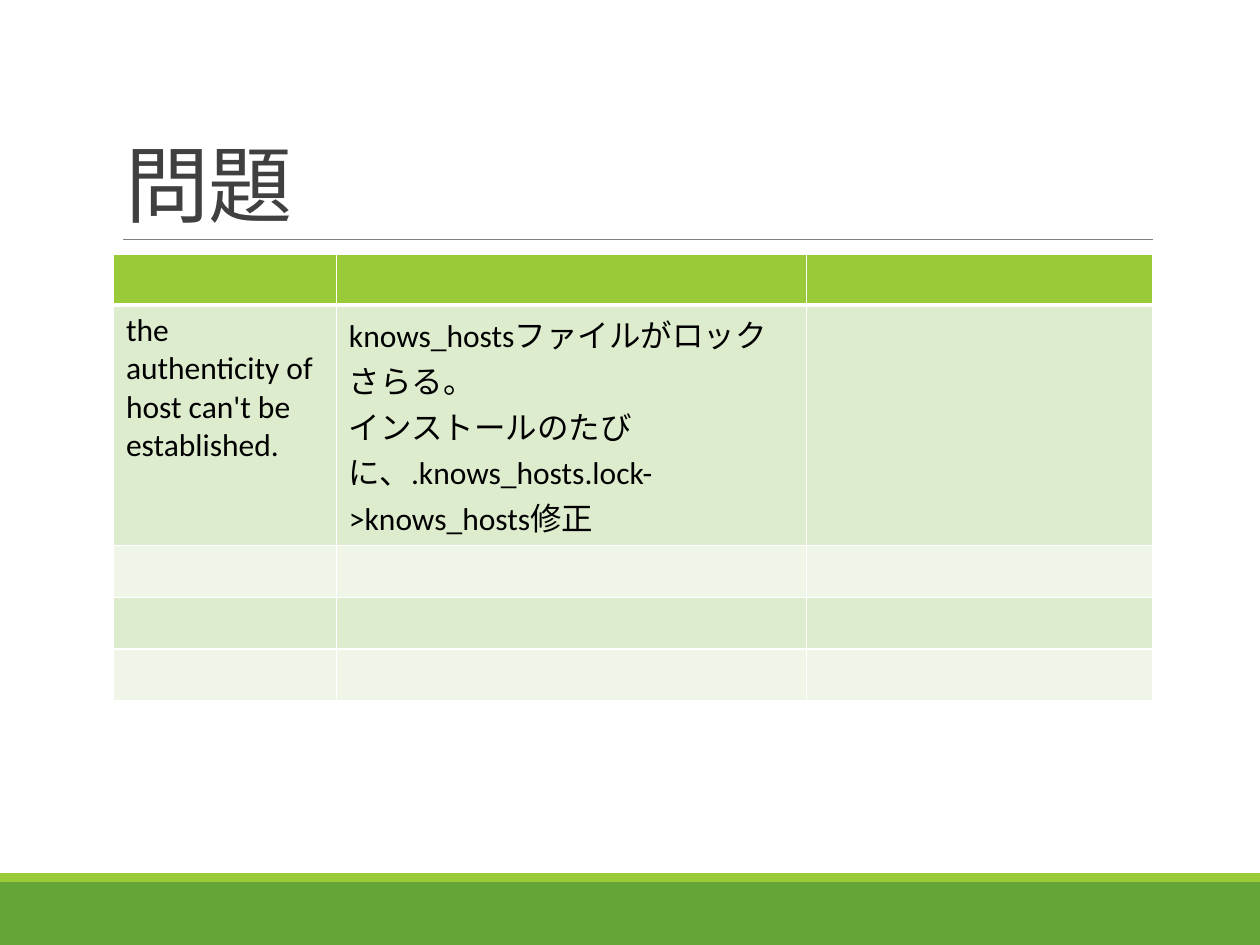
"""Build a slide with a title, a rule, a table of problems and a footer band."""
from lxml.etree import SubElement as Sub
from pptx import Presentation
from pptx.dml.color import RGBColor as RGB
from pptx.enum.shapes import MSO_CONNECTOR as Conn, MSO_SHAPE as Form
from pptx.enum.text import MSO_ANCHOR as Anchor
from pptx.oxml.ns import qn
from pptx.util import Inches, Pt

WIDE, HIGH = Inches(10), Inches(7.5)
GREEN = RGB(0x63, 0xA5, 0x37)
LIME = RGB(0x99, 0xCB, 0x38)
PALE = RGB(0xDE, 0xEC, 0xCE)
MIST = RGB(0xEF, 0xF6, 0xE8)
WHITE = RGB(0xFF, 0xFF, 0xFF)
GRAY = RGB(0x80, 0x80, 0x80)
DARK = RGB(0x40, 0x40, 0x40)
BLACK = RGB(0, 0, 0)
FONT = "Calibri"

LEFT, SPAN = Inches(0.9), Inches(8.25)
RULE = Inches(1.9)
COLS = (1.77, 3.73, 2.75)
ROWS = (0.4, 1.91, 0.41, 0.41, 0.41)
TEXTS = {
    (1, 0): ["the authenticity of host can't be established."],
    (1, 1): ["knows_hostsファイルがロックさらる。",
             "インストールのたびに、.knows_hosts.lock->knows_hosts修正"],
}


def add_run(para, text, size, color):
    """Add one styled run to a paragraph and return it."""
    run = para.add_run()
    run.text = text
    run.font.name, run.font.size = FONT, Pt(size)
    run.font.color.rgb = color
    return run


def add_band(slide, top, high, color):
    """Add a full-width band."""
    band = slide.shapes.add_shape(Form.RECTANGLE, 0, top, WIDE, high)
    band.shadow.inherit = False
    band.fill.solid()
    band.fill.fore_color.rgb = color
    band.line.fill.background()


def add_rule(slide):
    """Add the thin line under the title."""
    rule = slide.shapes.add_connector(
        Conn.STRAIGHT, Inches(0.98), RULE, LEFT + SPAN, RULE)
    rule.line.color.rgb, rule.line.width = GRAY, Pt(0.5)
    Sub(rule._element.spPr, qn("a:effectLst"))


def add_title(slide, text):
    """Add the title, resting on the rule."""
    top = Inches(0.31)
    frame = slide.shapes.add_textbox(LEFT, top, SPAN, RULE - top).text_frame
    frame.word_wrap = True
    frame.vertical_anchor = Anchor.BOTTOM
    para = frame.paragraphs[0]
    para.line_spacing = 0.85
    run = add_run(para, text, 48, DARK)
    run.font._element.set("spc", "-50")


def set_edges(cell, base):
    """Give a cell white borders, with the bottom one in its own width."""
    props = cell._tc.get_or_add_tcPr()
    for side, width in zip("LRTB", (1, 1, 1, base)):
        edge = Sub(props, qn(f"a:ln{side}"), w=str(Pt(width)))
        fill = Sub(edge, qn("a:solidFill"))
        Sub(fill, qn("a:srgbClr"), val=str(WHITE))


def fill_cell(cell, row, lines):
    """Style one cell by its row and write its lines."""
    set_edges(cell, 1 if row else 3)
    cell.fill.solid()
    cell.fill.fore_color.rgb = (PALE if row % 2 else MIST) if row else LIME
    frame = cell.text_frame
    for i, line in enumerate(lines):
        para = frame.add_paragraph() if i else frame.paragraphs[0]
        add_run(para, line, 18, BLACK)


def add_grid(slide):
    """Add the table of problems."""
    grid = slide.shapes.add_table(
        len(ROWS), len(COLS), LEFT, Inches(2.02), SPAN,
        Inches(sum(ROWS))).table
    for col, width in zip(grid.columns, COLS):
        col.width = Inches(width)
    for row, high in enumerate(ROWS):
        grid.rows[row].height = Inches(high)
        for col in range(len(COLS)):
            fill_cell(grid.cell(row, col), row, TEXTS.get((row, col), []))


def main():
    """Build and save the slide."""
    deck = Presentation()
    deck.slide_width, deck.slide_height = WIDE, HIGH
    slide = deck.slides.add_slide(deck.slide_layouts[6])
    foot, strip = Inches(0.5), Inches(0.07)
    add_band(slide, HIGH - foot, foot, GREEN)
    add_band(slide, HIGH - foot - strip, strip, LIME)
    add_rule(slide)
    add_title(slide, "問題")
    add_grid(slide)
    deck.save("out.pptx")


if __name__ == "__main__":
    main()
